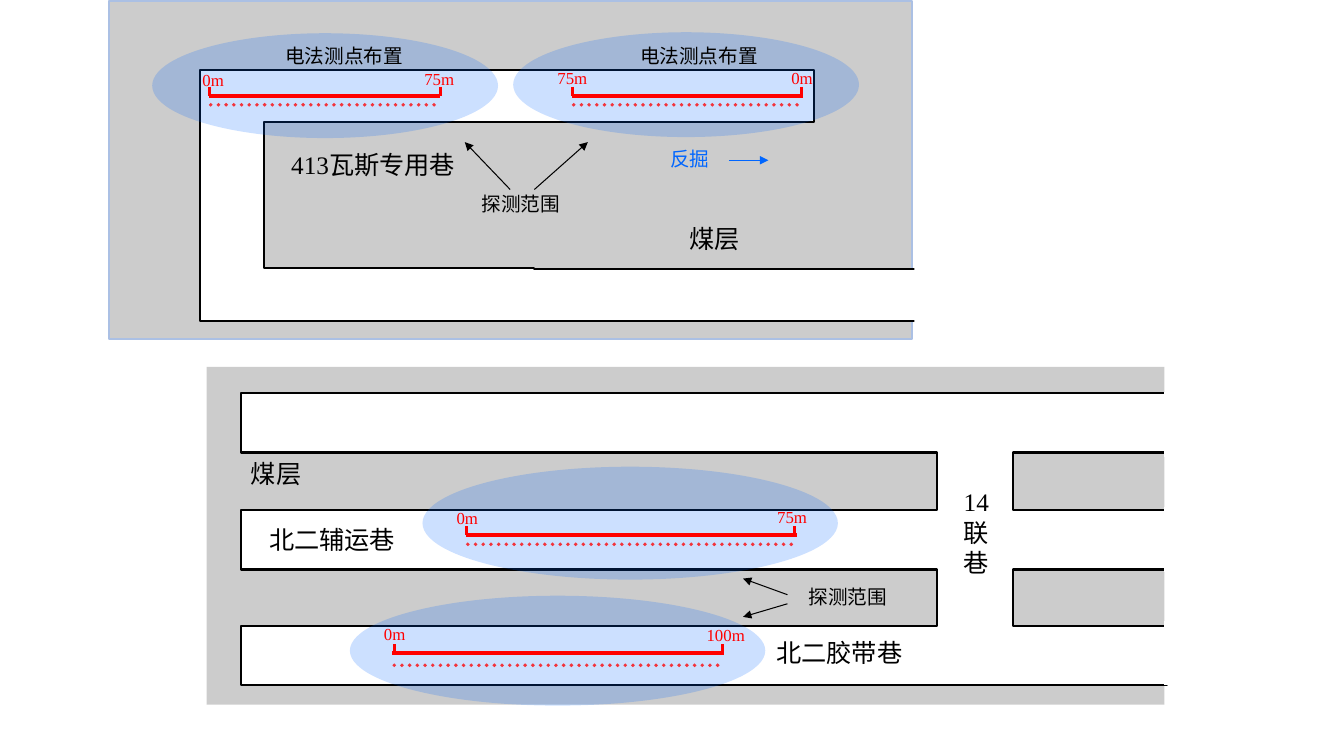
import dataclasses

import lxml.etree
import pptx
import pptx.dml.color
import pptx.enum.dml
import pptx.enum.shapes
import pptx.enum.text
import pptx.oxml.ns
import pptx.util

COLUMNS, ROWS = 1333, 750
SLIDE_WIDTH, SLIDE_HEIGHT = pptx.util.Inches(13.33), pptx.util.Inches(7.5)
CELL = SLIDE_WIDTH / COLUMNS
SHAPES = pptx.enum.shapes.MSO_SHAPE


@dataclasses.dataclass(frozen=True)
class Theme:
    seam: str = "808080"
    seam_border: str = "ABC0E4"
    roadway: str = "FFFFFF"
    ink: str = "000000"
    probe: str = "0066FF"
    survey: str = "FF0000"
    latin: str = "Times New Roman"
    chinese: str = "Noto Sans CJK SC"
    large: float = 18
    medium: float = 14
    small: float = 12
    thin: float = 0.75
    outline: float = 1.5
    tick: float = 2
    dots: float = 2.75
    bar: float = 3
    seam_alpha: int = 40
    probe_alpha: int = 20
    dots_alpha: int = 77


THEME = Theme()


def rgb(colour):
    return pptx.dml.color.RGBColor.from_string(colour)


def add_xml(parent, tag, **attributes):
    return lxml.etree.SubElement(parent, pptx.oxml.ns.qn(tag), **attributes)


def set_alpha(element, fill_path, percent):
    for colour in element.xpath(f"./p:spPr/{fill_path}/a:srgbClr"):
        add_xml(colour, "a:alpha", val=str(percent * 1000))


class Panel:
    def __init__(self, slide, box):
        self.shapes = slide.shapes
        self.left, self.top, self.width, self.height = box

    def point(self, column, row):
        return round((self.left + column) * CELL), round((self.top + row) * CELL)

    def place(self, box):
        column, row, width, height = box
        return *self.point(column, row), round(width * CELL), round(height * CELL)

    def paint(self, shape, fill, border=None):
        shape.shadow.inherit = False
        shape.fill.solid()
        shape.fill.fore_color.rgb = rgb(fill)
        if border:
            shape.line.color.rgb = rgb(border)
            shape.line.width = pptx.util.Pt(THEME.outline)
        else:
            shape.line.fill.background()

    def area(self, kind, box, fill, alpha=100, border=None):
        shape = self.shapes.add_shape(kind, *self.place(box))
        self.paint(shape, fill, border)
        if alpha < 100:
            set_alpha(shape.element, "a:solidFill", alpha)

    def coal_seam(self, border=None):
        self.area(SHAPES.RECTANGLE, (0, 0, self.width, self.height),
                  THEME.seam, THEME.seam_alpha, border)

    def probe_range(self, *box):
        self.area(SHAPES.OVAL, box, THEME.probe, THEME.probe_alpha)

    def roadway(self, corners):
        start, *others = [(self.left + x, self.top + y) for x, y in corners]
        builder = self.shapes.build_freeform(*start, scale=CELL)
        builder.add_line_segments(others, close=True)
        self.paint(builder.convert_to_shape(), THEME.roadway, THEME.ink)

    def line(self, start, end, colour, width):
        connector = self.shapes.add_connector(
            pptx.enum.shapes.MSO_CONNECTOR.STRAIGHT,
            *self.point(*start), *self.point(*end))
        connector.line.color.rgb = rgb(colour)
        connector.line.width = pptx.util.Pt(width)
        add_xml(connector.element.spPr, "a:effectLst")
        return connector

    def arrow(self, start, end, colour=THEME.ink):
        connector = self.line(start, end, colour, THEME.thin)
        add_xml(connector.line._get_or_add_ln(), "a:tailEnd", type="triangle")

    def dotted(self, start, end):
        connector = self.line(start, end, THEME.survey, THEME.dots)
        connector.line.dash_style = pptx.enum.dml.MSO_LINE_DASH_STYLE.ROUND_DOT
        connector.line._get_or_add_ln().set("cap", "rnd")
        set_alpha(connector.element, "a:ln/a:solidFill", THEME.dots_alpha)

    def label(self, box, runs, size, colour=THEME.ink):
        frame = self.shapes.add_textbox(*self.place(box)).text_frame
        frame.word_wrap = True
        frame.auto_size = pptx.enum.text.MSO_AUTO_SIZE.SHAPE_TO_FIT_TEXT
        for text, typeface in runs:
            run = frame.paragraphs[0].add_run()
            run.text = text
            run.font.name = typeface
            run.font.size = pptx.util.Pt(size)
            run.font.color.rgb = rgb(colour)
            add_xml(run.font._element, "a:ea", typeface=THEME.chinese)

    def survey_line(self, start, end, row, dot_gap, marks):
        self.line((start, row), (end, row), THEME.survey, THEME.bar)
        self.dotted((start + 2, row + dot_gap), (end + 1, row + dot_gap))
        for distance, tick, column, label_row in marks:
            self.line((tick, row - 9), (tick, row), THEME.survey, THEME.tick)
            self.label((column, label_row, 71, 30), [(distance, THEME.latin)],
                       THEME.small, THEME.survey)


def draw_gas_roadway(slide, box):
    panel = Panel(slide, box)
    panel.coal_seam(THEME.seam_border)
    panel.arrow((398, 187), (353, 140))
    panel.arrow((422, 187), (475, 140))
    panel.arrow((615, 158), (654, 158), THEME.probe)
    panel.label((547, 140, 136, 34), [("反掘", THEME.chinese)],
                THEME.medium, THEME.probe)
    panel.roadway([(90, 68), (699, 68), (699, 120), (154, 120), (154, 265),
                   (422, 265), (422, 266), (811, 266), (811, 317), (90, 317)])
    panel.area(SHAPES.RECTANGLE, (799, 256, 14, 76), THEME.roadway)
    panel.probe_range(401, 31, 343, 104)
    panel.probe_range(43, 32, 343, 104)
    panel.survey_line(99, 328, 94, 9,
                      [("0m", 100, 83, 63), ("75m", 329, 303, 62)])
    panel.survey_line(459, 688, 94, 9,
                      [("75m", 460, 435, 61), ("0m", 687, 667, 61)])
    for column, width in ((165, 175), (517, 194)):
        panel.label((column, 38, width, 34), [("电法测点布置", THEME.chinese)],
                    THEME.medium)
    panel.label((171, 142, 265, 40),
                [("413", THEME.latin), ("瓦斯专用巷", THEME.chinese)], THEME.large)
    panel.label((360, 185, 106, 34), [("探测范围", THEME.latin)], THEME.medium)
    panel.label((566, 216, 265, 40), [("煤层", THEME.latin)], THEME.large)


def draw_north_roadways(slide, box):
    panel = Panel(slide, box)
    west, cross_west, cross_east, east = 34, 724, 800, 952
    pillars = [(85, 142), (201, 257)]
    corners = [(west, 26), (east, 26)]
    for top, bottom in pillars:
        corners += [(east, top), (cross_east, top),
                    (cross_east, bottom), (east, bottom)]
    corners += [(east, 316), (west, 316)]
    for top, bottom in reversed(pillars):
        corners += [(west, bottom), (cross_west, bottom),
                    (cross_west, top), (west, top)]
    panel.coal_seam()
    panel.roadway(corners)
    panel.probe_range(142, 227, 412, 109)
    panel.probe_range(214, 99, 412, 112)
    for top in (25, 139, 252):
        panel.line((east, top), (east, top + 64), THEME.roadway, THEME.bar)
    panel.survey_line(257, 585, 167, 9,
                      [("0m", 258, 238, 135), ("75m", 583, 556, 134)])
    panel.survey_line(184, 513, 284, 12,
                      [("0m", 186, 166, 250), ("100m", 512, 486, 251)])
    panel.arrow((576, 226), (532, 210))
    panel.arrow((576, 235), (532, 248))
    for roadway, place in (("北二胶带", (555, 263, 265, 40)),
                           ("14联", (741, 114, 50, 101)),
                           ("北二辅运", (52, 151, 265, 40))):
        panel.label(place, [(roadway, THEME.latin), ("巷", THEME.chinese)],
                    THEME.large)
    panel.label((587, 211, 106, 34), [("探测范围", THEME.latin)], THEME.medium)
    panel.label((34, 86, 265, 40), [("煤层", THEME.latin)], THEME.large)


def main():
    deck = pptx.Presentation()
    deck.slide_width, deck.slide_height = SLIDE_WIDTH, SLIDE_HEIGHT
    slide = deck.slides.add_slide(deck.slide_layouts.get_by_name("Blank"))
    draw_north_roadways(slide, (205, 364, 950, 335))
    draw_gas_roadway(slide, (108, 1, 797, 335))
    deck.save("out.pptx")


if __name__ == "__main__":
    main()
